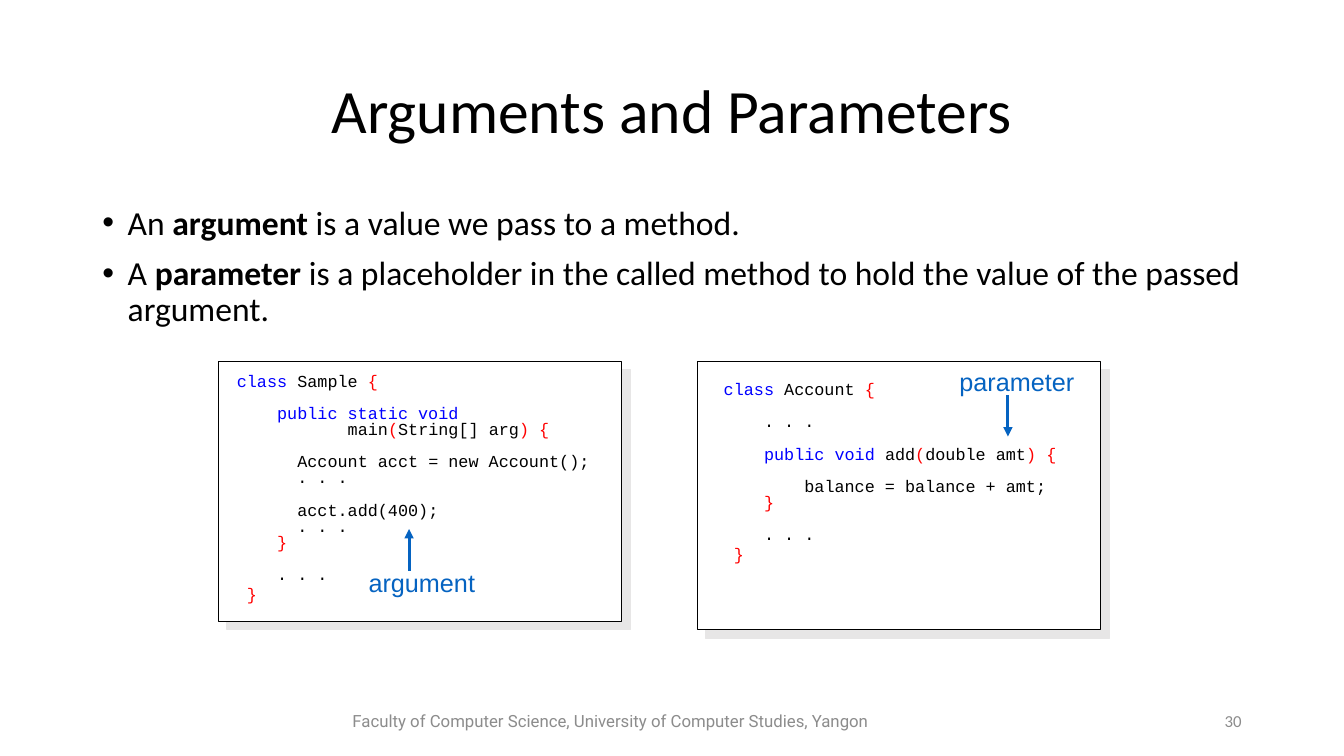
from pptx import Presentation
from pptx import util as u
from pptx.dml import color
from pptx.enum import shapes, text
from pptx.oxml import parse_xml
from pptx.oxml.ns import nsdecls

Cm, Pt = u.Cm, u.Pt

COLORS = {
    "ink": "000000",
    "paper": "FFFFFF",
    "keyword": "0000FF",
    "bracket": "FF0000",
    "callout": "0563C1",
    "footer": "8C8C8C",
    "shadow": "E7E6E6",
}
CHAR_WIDTH = 0.254  # one 12 pt Courier New character, in cm
BLANK_LINE = Pt(11.5)

# Code lines: (indent in characters, blank lines before, runs of (colour, text))
SAMPLE_CODE = [
    (0, 0, [("keyword", "class"), ("ink", " Sample "), ("bracket", "{")]),
    (4, 1, [("keyword", "public static void")]),
    (11, 0, [("ink", "main"), ("bracket", "("), ("ink", "String[] arg"), ("bracket", ") {")]),
    (6, 1, [("ink", "Account acct = new Account();")]),
    (6, 0, [("ink", ". . .")]),
    (6, 1, [("ink", "acct.add(400);")]),
    (6, 0, [("ink", ". . .")]),
    (4, 0, [("bracket", "}")]),
    (4, 1, [("ink", ". . .")]),
    (1, 0, [("bracket", "}")]),
]
ACCOUNT_CODE = [
    (0, 0, [("keyword", "class"), ("ink", " Account "), ("bracket", "{")]),
    (4, 1, [("ink", ". . .")]),
    (4, 1, [("keyword", "public void"), ("ink", " add"), ("bracket", "("),
            ("ink", "double amt"), ("bracket", ") {")]),
    (8, 1, [("ink", "balance = balance + amt;")]),
    (4, 0, [("bracket", "}")]),
    (4, 1, [("ink", ". . .")]),
    (1, 0, [("bracket", "}")]),
]
DEFINITIONS = [
    [("An ", False), ("argument", True), (" is a value we pass to a method.", False)],
    [("A ", False), ("parameter", True),
     (" is a placeholder in the called method to hold the value of the passed argument.", False)],
]


def rgb(name):
    return color.RGBColor.from_string(COLORS[name])


def add_frame(slide, box, anchor=text.MSO_ANCHOR.TOP):
    frame = slide.shapes.add_textbox(*map(Cm, box)).text_frame
    frame.word_wrap = True
    frame.vertical_anchor = anchor
    return frame


def add_run(paragraph, words, size, font, ink, bold=False):
    run = paragraph.add_run()
    run.text = words
    run.font.size = Pt(size)
    run.font.name = font
    run.font.bold = bold
    run.font.color.rgb = rgb(ink)


def next_paragraph(frame, index):
    return frame.add_paragraph() if index else frame.paragraphs[0]


def add_line(slide, box, words, size, font, ink, align, spacing=1.0):
    """One line of text, centred vertically in its box."""
    line = add_frame(slide, box, text.MSO_ANCHOR.MIDDLE).paragraphs[0]
    line.alignment = align
    line.line_spacing = spacing
    add_run(line, words, size, font, ink)


def add_definitions(slide, box):
    frame = add_frame(slide, box)
    for index, definition in enumerate(DEFINITIONS):
        bullet = next_paragraph(frame, index)
        bullet.line_spacing = 0.9
        bullet.space_before = Pt(10)
        props = bullet._p.get_or_add_pPr()
        props.set("marL", str(Cm(0.64)))
        props.set("indent", str(-Cm(0.64)))
        props.append(parse_xml(f'<a:buFont {nsdecls("a")} typeface="Arial"/>'))
        props.append(parse_xml(f'<a:buChar {nsdecls("a")} char="•"/>'))
        for words, bold in definition:
            add_run(bullet, words, 24, "Calibri", "ink", bold)


def add_code(slide, box, code):
    frame = add_frame(slide, box)
    for index, (indent, blanks, runs) in enumerate(code):
        line = next_paragraph(frame, index)
        line.line_spacing = 1.0 if index == len(code) - 1 else 0.8
        line.space_before = blanks * BLANK_LINE
        props = line._p.get_or_add_pPr()
        props.set("marL", str(Cm(indent * CHAR_WIDTH)))
        props.set("indent", "0")
        for ink, words in runs:
            add_run(line, words, 12, "Courier New", ink)


def add_panel(slide, box):
    """White card with a hard shadow to the lower right."""
    panel = slide.shapes.add_shape(shapes.MSO_SHAPE.RECTANGLE, *map(Cm, box))
    panel.fill.solid()
    panel.fill.fore_color.rgb = rgb("paper")
    panel.line.color.rgb = rgb("ink")
    panel.line.width = Pt(0.75)
    panel.shadow.inherit = False
    effects = panel._element.spPr.find("{*}effectLst")
    effects.append(parse_xml(
        f'<a:outerShdw {nsdecls("a")} blurRad="0" dist="{Pt(8.5)}" dir="2700000" '
        f'algn="ctr" rotWithShape="0"><a:srgbClr val="{COLORS["shadow"]}"/></a:outerShdw>'))


def add_callout(slide, label_box, label, x, start, end):
    """Label with an arrow that runs straight up or down."""
    arrow = slide.shapes.add_connector(
        shapes.MSO_CONNECTOR.STRAIGHT, Cm(x), Cm(start), Cm(x), Cm(end))
    arrow.line.color.rgb = rgb("callout")
    arrow.line.width = Pt(2.25)
    arrow.line._get_or_add_ln().append(
        parse_xml(f'<a:tailEnd {nsdecls("a")} type="triangle"/>'))
    arrow._element.spPr.append(parse_xml(f'<a:effectLst {nsdecls("a")}/>'))
    name = add_frame(slide, label_box)
    add_run(name.paragraphs[0], label, 18, "Arial", "callout")


def add_sample_class(slide, box):
    left, top, width, height = box
    add_panel(slide, box)
    add_code(slide, (left + 0.21, top + 0.21, 9.5, height - 0.5), SAMPLE_CODE)
    add_callout(slide, (left + 3.53, top + 5.08, 3.2, 1.02), "argument",
                left + 4.8, top + 5.28, top + 4.23)


def add_account_class(slide, box):
    left, top, width, height = box
    add_panel(slide, box)
    add_code(slide, (left + 0.41, top + 0.42, 9, 4.83), ACCOUNT_CODE)
    add_callout(slide, (left + 6.35, top, 3.4, 1.02), "parameter",
                left + 7.82, top + 0.85, top + 1.9)


def add_footer(slide, box):
    left, top, width, height = box
    add_line(slide, (left, top, 14.48, height),
             "Faculty of Computer Science, University of Computer Studies, Yangon",
             12, "Roboto", "footer", text.PP_ALIGN.CENTER)
    add_line(slide, (left + width - 7.62, top, 7.62, height), "30",
             12, "Calibri", "footer", text.PP_ALIGN.RIGHT)


def main():
    deck = Presentation()
    deck.slide_width, deck.slide_height = Cm(33.87), Cm(19.05)
    slide = deck.slides.add_slide(deck.slide_layouts[6])

    # Title and definitions
    add_line(slide, (2.33, 1.01, 29.21, 3.68), "Arguments and Parameters",
             44, "Calibri", "ink", text.PP_ALIGN.CENTER, 0.9)
    add_definitions(slide, (2.33, 5.07, 29.21, 12.1))

    # Calling class and called class
    add_sample_class(slide, (5.51, 9.1, 10.16, 6.56))
    add_account_class(slide, (17.58, 9.1, 10.16, 6.77))

    add_footer(slide, (8.15, 17.65, 23.39, 1.02))
    deck.save("out.pptx")


if __name__ == "__main__":
    main()
